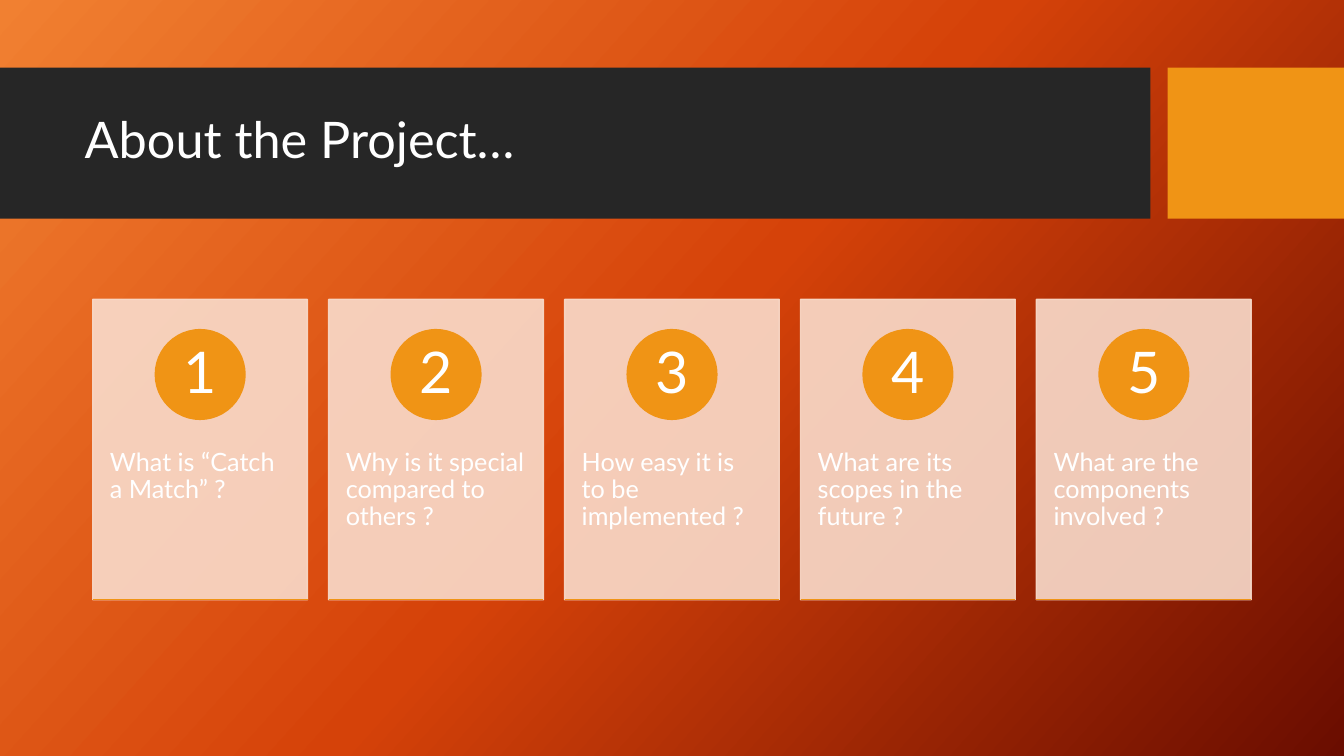
from copy import deepcopy

from pptx import Presentation
from pptx.dml.color import RGBColor
from pptx.enum.shapes import MSO_CONNECTOR, MSO_SHAPE
from pptx.enum.text import MSO_ANCHOR, MSO_AUTO_SIZE, PP_ALIGN
from pptx.oxml.ns import qn
from pptx.oxml.xmlchemy import OxmlElement
from pptx.util import Inches, Pt

RECT, OVAL = MSO_SHAPE.RECTANGLE, MSO_SHAPE.OVAL
STRAIGHT = MSO_CONNECTOR.STRAIGHT
TOP, MIDDLE = MSO_ANCHOR.TOP, MSO_ANCHOR.MIDDLE
LEFT, CENTER = PP_ALIGN.LEFT, PP_ALIGN.CENTER

TITLE = "About the Project…"
CARDS = [
    "What is “Catch a Match” ?",
    "Why is it special compared to others ?",
    "How easy it is to be implemented ?",
    "What are its scopes in the future ?",
    "What are the components involved ?",
]
COLORS = {"dark": "262626", "gold": "F09415", "card": "F9DCCC", "text": "FFFFFF"}
STOPS = [(0, "F18031"), (0.5, "D54209"), (1, "6A0D00")]
ANGLE = 42
FONT = "Lato"

SIZE = (13.33, 7.5)
BARS = [("dark", (0, 0.67, 11.41, 1.5)), ("gold", (11.58, 0.67, 1.75, 1.5))]
TITLE_BOX = (0.74, 0.82, 10.51, 1.18)
CARD_X, CARD_Y, CARD_W, CARD_H = 0.92, 2.97, 2.13, 2.98
PITCH = 2.34
DISC, DISC_Y = 0.89, 3.27
NUM = 0.63
BODY_Y, BODY_H = 4.1, 1.79

TITLE_FORM = {"size": 36, "align": LEFT, "anchor": MIDDLE, "pad": (0.1, 0.05)}
BODY_FORM = {"size": 18, "align": LEFT, "anchor": TOP, "pad": (0.17, 0.36)}
NUM_FORM = {"size": 41, "align": CENTER, "anchor": MIDDLE, "pad": (0.07, 0.01)}


def rgb(name):
    return RGBColor.from_string(COLORS[name])


def inches(box):
    return [Inches(v) for v in box]


def paint(slide):
    """Give the slide its three-stop diagonal background."""
    fill = slide.background.fill
    fill.gradient()
    fill.gradient_angle = 360 - ANGLE  # the library counts anticlockwise
    last = list(slide.background._cSld.iter(qn("a:gs")))[-1]
    last.addnext(deepcopy(last))
    for stop, (pos, color) in zip(fill.gradient_stops, STOPS):
        stop.position = pos
        stop.color.rgb = RGBColor.from_string(color)


def fade(shape, percent):
    """Set the opacity of the fill and line of a shape."""
    for color in shape._element.spPr.iter(qn("a:srgbClr")):
        alpha = OxmlElement("a:alpha")
        alpha.set("val", str(percent * 1000))
        color.append(alpha)


def add_block(slide, kind, box, color, edge=True):
    shape = slide.shapes.add_shape(kind, *inches(box))
    shape.shadow.inherit = False
    shape.fill.solid()
    shape.fill.fore_color.rgb = rgb(color)
    if edge:
        shape.line.color.rgb = rgb(color)
        shape.line.width = Pt(1)
    else:
        shape.line.fill.background()
    return shape


def add_rule(slide, x, y, width):
    rule = slide.shapes.add_connector(STRAIGHT, *inches((x, y, x + width, y)))
    rule.line.color.rgb = rgb("gold")
    rule.line.width = Pt(1)
    rule._element.spPr.append(OxmlElement("a:effectLst"))


def write(shape, text, form):
    frame = shape.text_frame
    side, end = inches(form["pad"])
    settings = {
        "text": text, "word_wrap": True, "auto_size": MSO_AUTO_SIZE.NONE,
        "vertical_anchor": form["anchor"],
        "margin_left": side, "margin_right": side,
        "margin_top": end, "margin_bottom": end,
    }
    for key, value in settings.items():
        setattr(frame, key, value)
    para = frame.paragraphs[0]
    para.alignment = form["align"]
    para.line_spacing = 0.9
    font = para.runs[0].font
    font.name, font.size = FONT, Pt(form["size"])
    font.color.rgb = rgb("text")


def add_text(slide, box, text, form):
    write(slide.shapes.add_textbox(*inches(box)), text, form)


def add_title(slide):
    title = slide.shapes.title
    title.left, title.top, title.width, title.height = inches(TITLE_BOX)
    write(title, TITLE, TITLE_FORM)
    slide.shapes._spTree.append(title._element)  # in front of the bars


def add_card(slide, index, text):
    x = CARD_X + index * PITCH
    card = add_block(slide, RECT, (x, CARD_Y, CARD_W, CARD_H), "card")
    fade(card, 90)
    add_text(slide, (x, BODY_Y, CARD_W, BODY_H), text, BODY_FORM)
    disc_x = x + (CARD_W - DISC) / 2
    add_block(slide, OVAL, (disc_x, DISC_Y, DISC, DISC), "gold")
    inset = (DISC - NUM) / 2
    add_text(slide, (disc_x + inset, DISC_Y + inset, NUM, NUM),
             str(index + 1), NUM_FORM)
    add_rule(slide, x, CARD_Y + CARD_H, CARD_W)


def main():
    deck = Presentation()
    deck.slide_width, deck.slide_height = inches(SIZE)
    slide = deck.slides.add_slide(deck.slide_layouts.get_by_name("Title Only"))
    paint(slide)
    for color, box in BARS:
        add_block(slide, RECT, box, color, edge=False)
    add_title(slide)
    for index, text in enumerate(CARDS):
        add_card(slide, index, text)
    deck.save("out.pptx")


if __name__ == "__main__":
    main()
